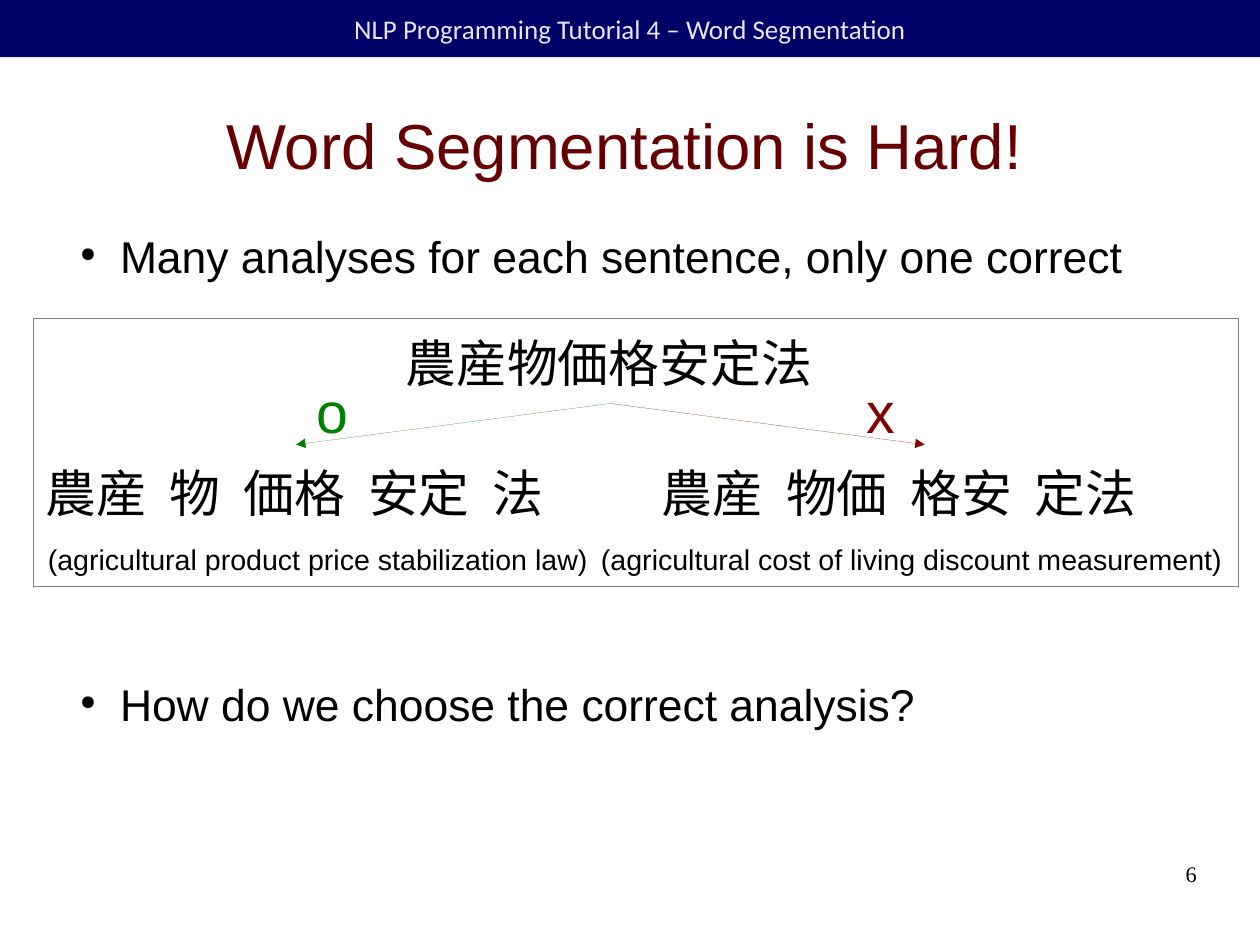
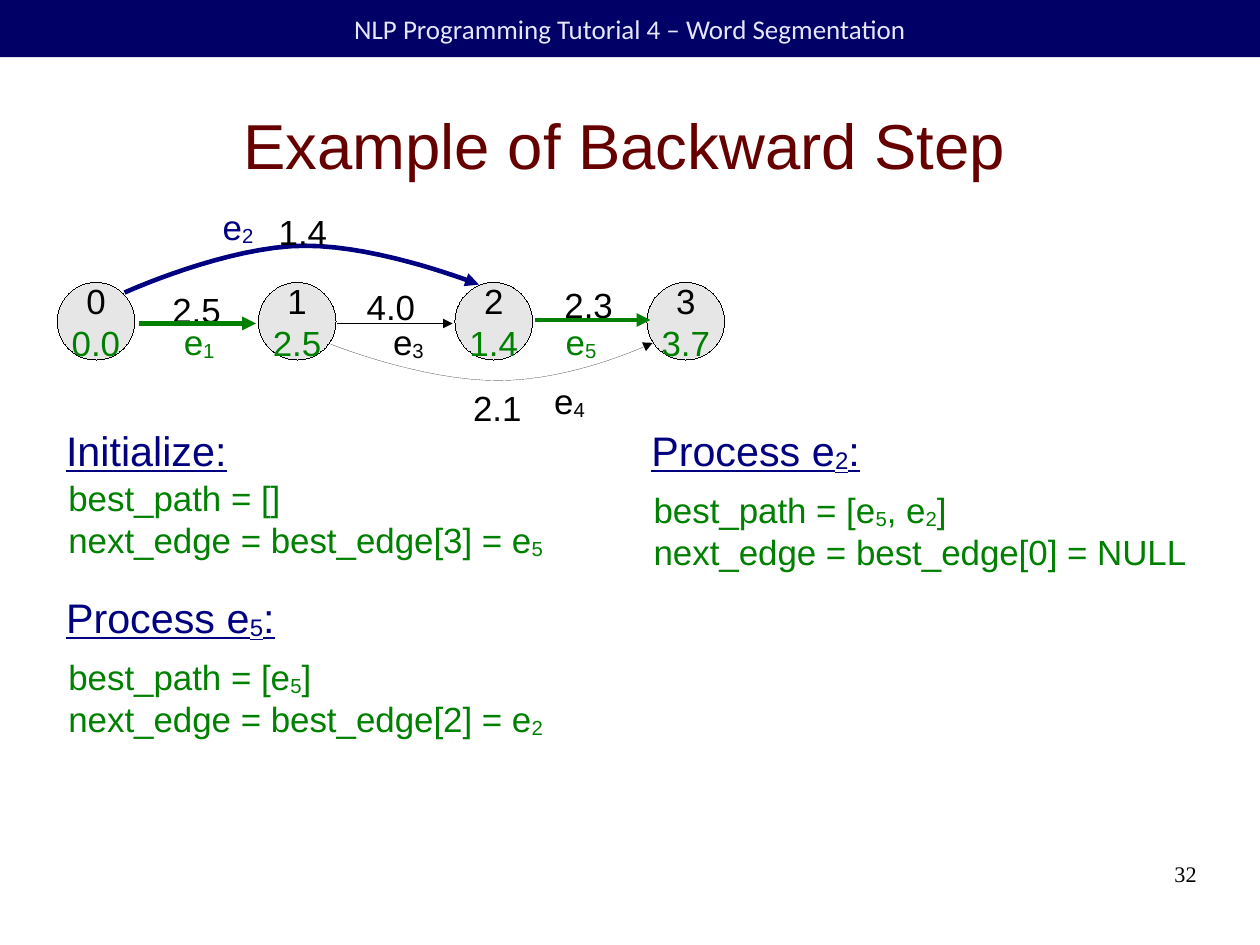
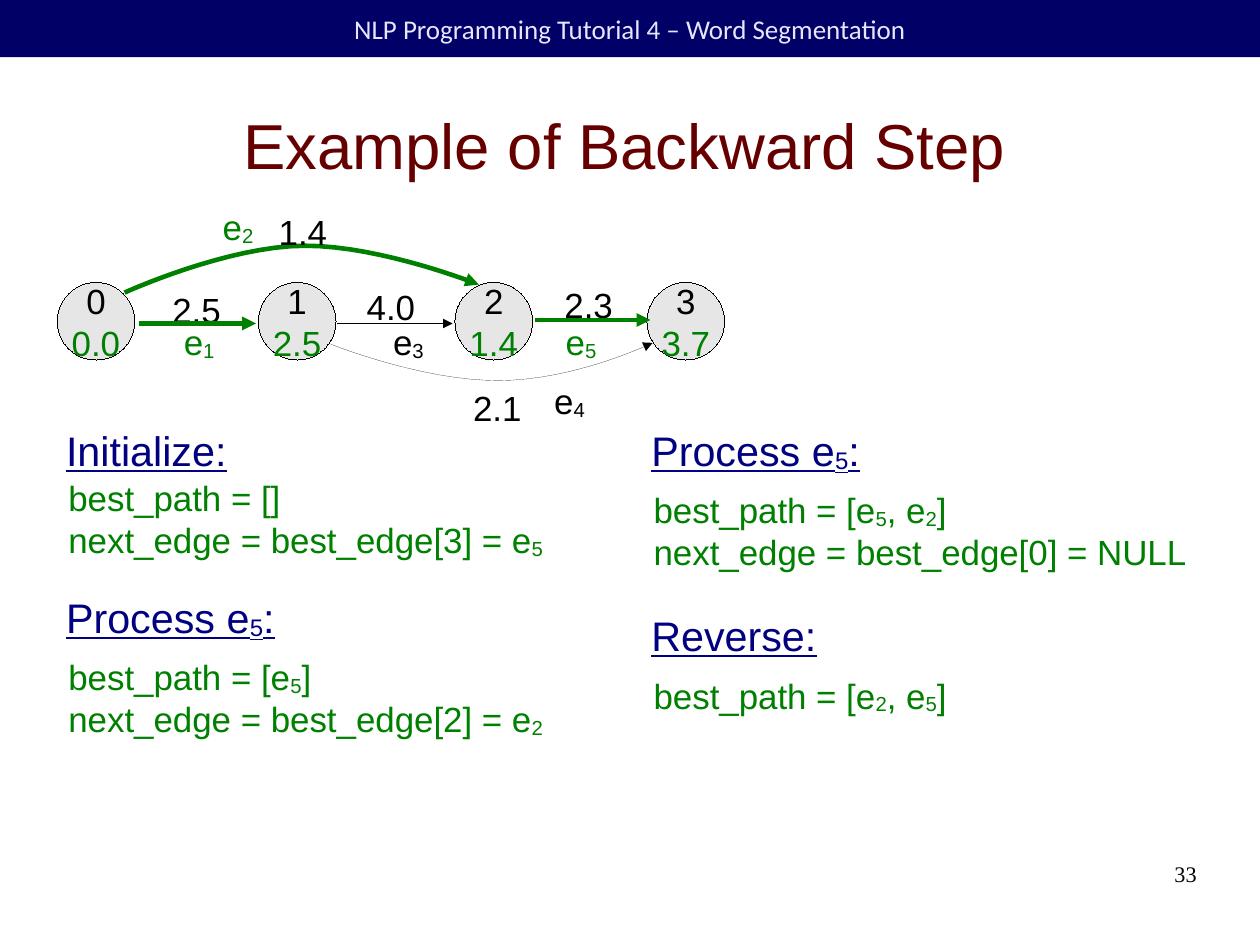
import lxml.etree
import pptx
import pptx.dml.color
import pptx.enum.shapes
import pptx.enum.text
import pptx.oxml.ns
import pptx.util

RGB = pptx.dml.color.RGBColor
SHAPE = pptx.enum.shapes.MSO_SHAPE
ALIGN = pptx.enum.text.PP_ALIGN
MIDDLE = pptx.enum.text.MSO_ANCHOR.MIDDLE
qn = pptx.oxml.ns.qn

BAND = RGB(0x00, 0x00, 0x66)
BAND_TEXT = RGB(0xE6, 0xE6, 0xFF)
TITLE = RGB(0x66, 0x00, 0x00)
BLACK = RGB(0x00, 0x00, 0x00)
GREY = RGB(0x80, 0x80, 0x80)
NODE_FILL = RGB(0xE6, 0xE6, 0xE6)
GREEN = RGB(0x00, 0x80, 0x00)
RED = RGB(0x80, 0x00, 0x00)
NAVY = RGB(0x00, 0x00, 0x80)

SLIDE_W, SLIDE_H = pptx.util.Cm(28), pptx.util.Cm(21)
HAIRLINE, THICK = 0, 2.89
KANJI_SIZE = 32
WORD_GAP = 20
NODE_SIZE = 68


def px(n):
    """Turn px, 100 to the inch, into EMU."""
    return pptx.util.Emu(round(n * 9144))


def add_xml(parent, tag, **attributes):
    return lxml.etree.SubElement(parent, qn(tag), attributes)


def drop_style(sp):
    """Remove the theme style, whose line width would replace a hairline."""
    sp._element.remove(sp._element.find(qn("p:style")))


def format_font(font, size, color, name="Arial"):
    font.name = name
    font.size = pptx.util.Pt(size)
    font.color.rgb = color


def set_insets(tf, inset):
    tf.margin_left = tf.margin_right = tf.margin_top = tf.margin_bottom = px(inset)


def add_runs(p, text):
    """Write the text, with the parts between ~ signs as subscripts."""
    for i, part in enumerate(text.split("~")):
        if part:
            r = p.add_run()
            r.text = part
            if i % 2:
                r.font._element.set("baseline", "-8000")


def add_text(s, x, y, w, lines, size, color=BLACK, underline=None):
    tf = s.shapes.add_textbox(px(x), px(y), px(w), px(50)).text_frame
    tf.word_wrap = True
    for i, line in enumerate(lines):
        p = tf.add_paragraph() if i else tf.paragraphs[0]
        add_runs(p, line)
        format_font(p.font, size, color)
        p.font.underline = underline
    return tf


def add_bullets(s, x, y, w, items, gap):
    tf = s.shapes.add_textbox(px(x), px(y), px(w), px(546)).text_frame
    tf.word_wrap = True
    set_insets(tf, 0)
    for i, item in enumerate(items):
        p = tf.add_paragraph() if i else tf.paragraphs[0]
        p.text = item
        if i:
            p.space_before = pptx.util.Pt(gap)
        pPr = p._p.get_or_add_pPr()
        pPr.set("marL", str(px(47)))
        pPr.set("indent", str(px(-35)))
        add_xml(pPr, "a:buSzPct", val="45000")
        add_xml(pPr, "a:buFont", typeface="StarSymbol")
        add_xml(pPr, "a:buChar", char="●")
        format_font(p.font, 28, BLACK)


def add_words(s, x, y, w, words):
    """Write separated words, each at a tab stop one gap after the last."""
    tf = s.shapes.add_textbox(px(x), px(y), px(w), px(62)).text_frame
    tf.word_wrap = True
    p = tf.paragraphs[0]
    p.text = "\t".join(words)
    if len(words) > 1:
        tabs = add_xml(p._p.get_or_add_pPr(), "a:tabLst")
        stop = 0
        for word in words[:-1]:
            stop += len(word) * KANJI_SIZE * 100 / 72 + WORD_GAP
            add_xml(tabs, "a:tab", pos=str(px(stop)), algn="l")
    format_font(p.font, KANJI_SIZE, BLACK)


def add_preset(s, kind, x, y, w, h, fill=None, line=None):
    """Add a shape; its outline, if any, is a hairline."""
    sp = s.shapes.add_shape(kind, px(x), px(y), px(w), px(h))
    drop_style(sp)
    sp.shadow.inherit = False
    if fill is None:
        sp.fill.background()
    else:
        sp.fill.solid()
        sp.fill.fore_color.rgb = fill
    if line is None:
        sp.line.fill.background()
    else:
        sp.line.color.rgb = line
    return sp


def format_arrow(sp, color, width):
    drop_style(sp)
    sp.line.color.rgb = color
    sp.line.width = pptx.util.Pt(width)
    add_xml(sp.line._get_or_add_ln(), "a:tailEnd", type="triangle")


def add_arrow(s, start, end, color, width=HAIRLINE):
    cn = s.shapes.add_connector(
        pptx.enum.shapes.MSO_CONNECTOR.STRAIGHT, *map(px, start + end))
    format_arrow(cn, color, width)
    add_xml(cn._element.spPr, "a:effectLst")


def bezier(points, t):
    while len(points) > 1:
        points = [tuple(a + (b - a) * t for a, b in zip(p, q))
                  for p, q in zip(points, points[1:])]
    return points[0]


def add_curved_arrow(s, start, before, middle, after, end, color, width=HAIRLINE):
    """Join start, middle and end; before and after steer the two halves."""
    steps = 16
    halves = ([start, start, before, middle], [middle, after, end, end])
    points = [bezier(half, i / steps) for half in halves for i in range(1, steps + 1)]
    builder = s.shapes.build_freeform(*map(px, start))
    builder.add_line_segments([tuple(map(px, pt)) for pt in points], close=False)
    sp = builder.convert_to_shape()
    sp.shadow.inherit = False
    sp.fill.background()
    format_arrow(sp, color, width)


def add_node(s, x, name, score):
    sp = add_preset(s, SHAPE.OVAL, x, 247, NODE_SIZE, NODE_SIZE, NODE_FILL, BLACK)
    tf = sp.text_frame
    tf.word_wrap = False
    tf.vertical_anchor = MIDDLE
    tf.text = f"{name}\n{score}"
    for p, color in zip(tf.paragraphs, (BLACK, GREEN)):
        p.alignment = ALIGN.CENTER
        format_font(p.font, 22, color)


def new_slide(prs, title, number):
    s = prs.slides.add_slide(prs.slide_layouts[5])

    band = add_preset(s, SHAPE.RECTANGLE, 0, 0, 1102, 50, BAND)
    band.width = SLIDE_W
    band.text_frame.vertical_anchor = MIDDLE
    p = band.text_frame.paragraphs[0]
    p.text = "NLP Programming Tutorial 4 – Word Segmentation"
    p.alignment = ALIGN.CENTER
    format_font(p.font, 17, BAND_TEXT, "Calibri")

    sp = s.shapes.title
    sp.left, sp.top, sp.width, sp.height = map(px, (50, 62, 992, 128))
    tf = sp.text_frame
    tf.auto_size = pptx.enum.text.MSO_AUTO_SIZE.NONE
    tf.vertical_anchor = MIDDLE
    set_insets(tf, 0)
    p = tf.paragraphs[0]
    p.text = title
    p.alignment = ALIGN.CENTER
    format_font(p.font, 40, TITLE)

    tf = add_text(s, 790, 753, 257, [str(number)], 14)
    set_insets(tf, 0)
    p = tf.paragraphs[0]
    p.alignment = ALIGN.RIGHT
    p.font.name = "Times New Roman"
    return s


def hard_slide(prs):
    s = new_slide(prs, "Word Segmentation is Hard!", 6)
    add_bullets(s, 58, 200, 992, [
        "Many analyses for each sentence, only one correct",
        "How do we choose the correct analysis?"], 249)
    add_preset(s, SHAPE.RECTANGLE, 29, 279, 1055, 234, line=GREY)
    add_words(s, 345, 285, 400, ["農産物価格安定法"])
    add_words(s, 30, 399, 500, ["農産", "物", "価格", "安定", "法"])
    add_words(s, 569, 399, 500, ["農産", "物価", "格安", "定法"])
    add_text(s, 32, 469, 510, ["(agricultural product price stabilization law)"], 18)
    add_text(s, 516, 469, 580, ["(agricultural cost of living discount measurement)"], 18)
    for mark, mark_x, tip_x, color in (("o", 267, 259, GREEN), ("x", 748, 809, RED)):
        add_arrow(s, (534, 353), (tip_x, 389), color)
        add_text(s, mark_x, 324, 60, [mark], 36, color)


def add_graph(s, e2_color):
    nodes = ((50, "0.0"), (226, "2.5"), (398, "1.4"), (566, "3.7"))
    for name, (x, score) in enumerate(nodes):
        add_node(s, x, name, score)
    for x, y, weight in ((141, 248, "2.5"), (311, 245, "4.0"), (484, 243, "2.3")):
        add_text(s, x, y, 91, [weight], 22)

    add_curved_arrow(s, (289, 301), (368, 333), (436, 333), (503, 333), (571, 300), BLACK)
    add_arrow(s, (295, 283), (396, 283), BLACK)
    add_curved_arrow(s, (109, 256), (199, 215), (267, 215), (334, 215), (419, 249),
                     e2_color, THICK)
    add_arrow(s, (468, 280), (569, 280), GREEN, THICK)
    add_arrow(s, (122, 283), (224, 283), GREEN, THICK)

    for x, y, label, color in (
            (404, 333, "2.1", BLACK), (234, 179, "1.4", BLACK),
            (151, 276, "e~1~", GREEN), (185, 175, "e~2~", e2_color),
            (334, 276, "e~3~", BLACK), (485, 276, "e~5~", GREEN),
            (475, 327, "e~4~", BLACK)):
        add_text(s, x, y, 91, [label], 22, color)


def add_step(s, x, y, heading, code, code_drop=56):
    add_text(s, x, y, 300, [heading], 26, NAVY, underline=True)
    add_text(s, x + 2, y + code_drop, 510, code, 22, GREEN)


def backward_slide(prs, number, e2_color, last_edge):
    s = new_slide(prs, "Example of Backward Step", number)
    add_graph(s, e2_color)
    add_step(s, 48, 367, "Initialize:",
             ["best_path = []", "next_edge = best_edge[3] = e~5~"], 45)
    add_step(s, 48, 513, "Process e~5~:",
             ["best_path = [e~5~]", "next_edge = best_edge[2] = e~2~"])
    add_step(s, 560, 367, f"Process e~{last_edge}~:",
             ["best_path = [e~5~, e~2~]", "next_edge = best_edge[0] = NULL"])
    return s


def main():
    prs = pptx.Presentation()
    prs.slide_width, prs.slide_height = SLIDE_W, SLIDE_H
    hard_slide(prs)
    backward_slide(prs, 32, NAVY, 2)
    s = backward_slide(prs, 33, GREEN, 5)
    add_step(s, 560, 529, "Reverse:", ["best_path = [e~2~, e~5~]"])
    prs.save("out.pptx")


if __name__ == "__main__":
    main()
